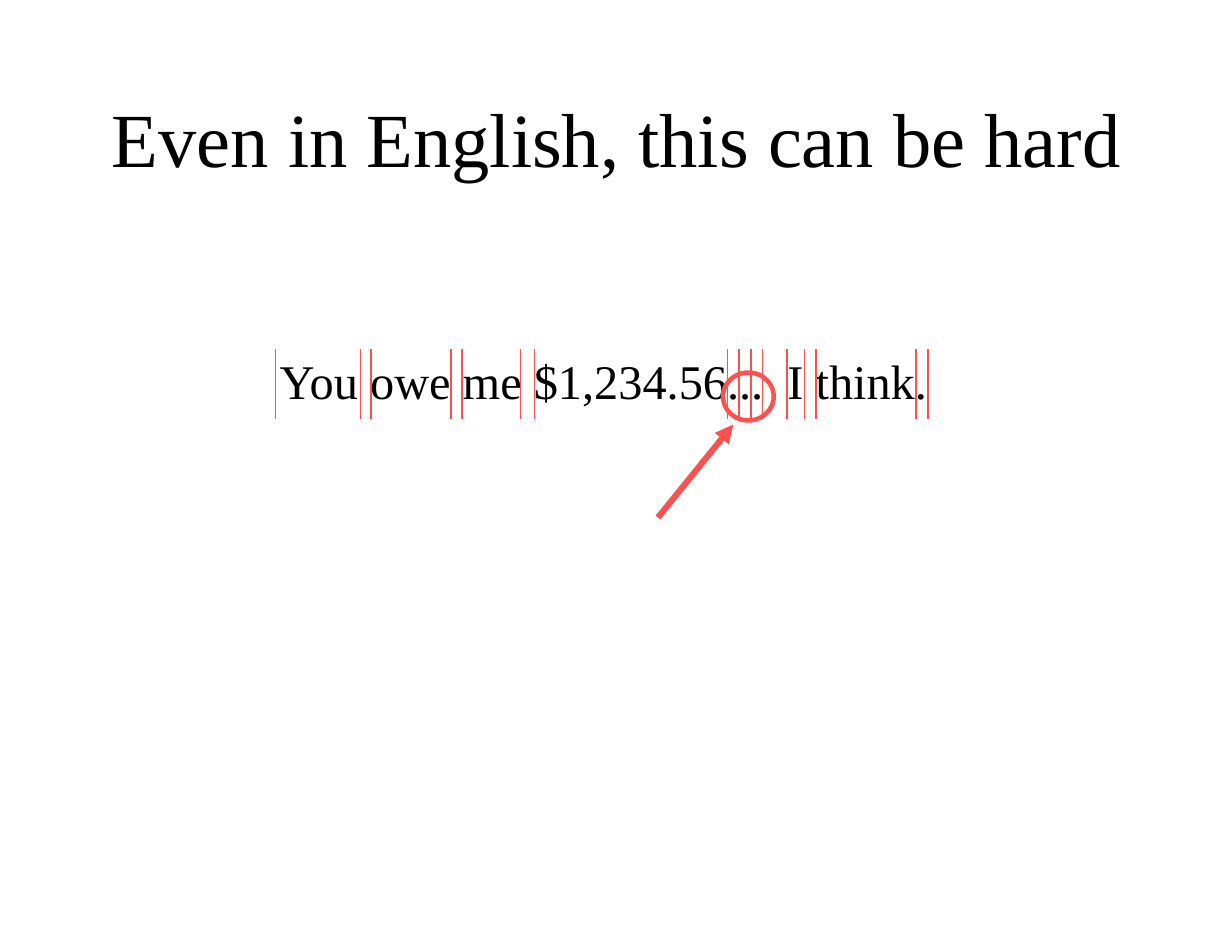
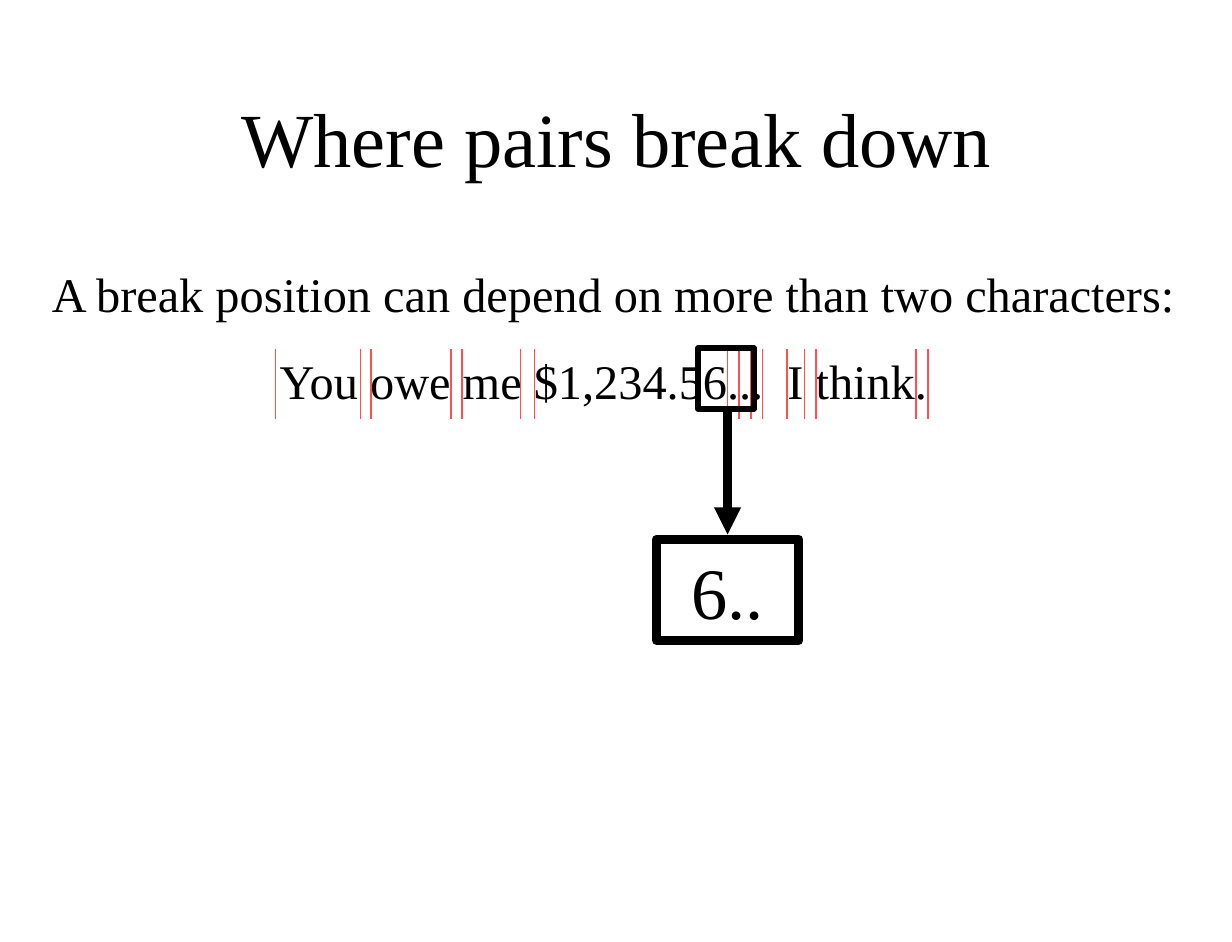
from pptx import Presentation
from pptx.dml.color import RGBColor
from pptx.enum.shapes import MSO_CONNECTOR, MSO_SHAPE
from pptx.enum.text import MSO_ANCHOR, PP_ALIGN
from pptx.oxml.ns import qn
from pptx.util import Cm, Pt
from lxml.etree import SubElement

FONT = "Times New Roman"
BLACK = "000000"
RED = "FF5050"
WHITE = "FFFFFF"

SENTENCE = "You owe me $1,234.56...  I think."
BREAK_TOP, BREAK_BOTTOM = 6.12, 7.34
BREAK_POSITIONS = (
    4.83, 6.32, 6.5, 7.9, 8.1, 9.12, 9.37, 12.75,
    12.95, 13.16, 13.36, 13.79, 14.1, 14.3, 16.05, 16.26,
)


def color(hex_string):
    return RGBColor.from_string(hex_string)


def write_text(shape, text, size=24, align=PP_ALIGN.CENTER, text_color=BLACK):
    frame = shape.text_frame
    frame.word_wrap = True
    frame.vertical_anchor = MSO_ANCHOR.TOP
    frame.margin_left = frame.margin_right = Cm(0.25)
    frame.margin_top = frame.margin_bottom = Cm(0.13)
    paragraph = frame.paragraphs[0]
    paragraph.alignment = align
    run = paragraph.add_run()
    run.text = text
    run.font.name = FONT
    run.font.size = Pt(size)
    run.font.color.rgb = color(text_color)


def add_text(slide, text, left, top, width, height, **text_format):
    box = slide.shapes.add_textbox(Cm(left), Cm(top), Cm(width), Cm(height))
    write_text(box, text, **text_format)


def add_outline(slide, kind, left, top, width, height, line_color, weight):
    """Add an unfilled shape that marks what lies under it."""
    shape = slide.shapes.add_shape(kind, Cm(left), Cm(top), Cm(width), Cm(height))
    shape.shadow.inherit = False
    shape.fill.background()
    shape.line.color.rgb = color(line_color)
    shape.line.width = Pt(weight)
    return shape


def add_line(slide, start, end, line_color, weight, arrow=False):
    points = [Cm(value) for value in (*start, *end)]
    connector = slide.shapes.add_connector(MSO_CONNECTOR.STRAIGHT, *points)
    connector.line.color.rgb = color(line_color)
    connector.line.width = Pt(weight)
    if arrow:
        SubElement(connector.line._get_or_add_ln(), qn("a:tailEnd"), type="triangle")
    SubElement(connector._element.spPr, qn("a:effectLst"))


def add_example_slide(presentation, title):
    """Add a slide with its title and the sentence cut at every break."""
    slide = presentation.slides.add_slide(presentation.slide_layouts[6])
    slide.background.fill.solid()
    slide.background.fill.fore_color.rgb = color(WHITE)
    add_text(slide, title, 1.63, 1.47, 18.36, 2.74, size=38)
    add_text(slide, SENTENCE, 1.85, 6.02, 17.45, 1.27)
    for x in BREAK_POSITIONS:
        add_line(slide, (x, BREAK_TOP), (x, BREAK_BOTTOM), RED, 0.75)
    return slide


def add_ellipsis_slide(presentation):
    slide = add_example_slide(presentation, "Even in English, this can be hard")
    add_outline(slide, MSO_SHAPE.OVAL, 12.67, 6.53, 0.89, 0.84, RED, 2.25)
    add_line(slide, (11.53, 9.07), (12.85, 7.44), RED, 3, arrow=True)


def add_pairs_slide(presentation):
    slide = add_example_slide(presentation, "Where pairs break down")
    add_text(slide, "A break position can depend on more than two characters:",
             0.66, 4.5, 20.32, 1.27, align=PP_ALIGN.LEFT)
    add_outline(slide, MSO_SHAPE.RECTANGLE, 12.24, 6.1, 0.97, 1.07, BLACK, 3)
    detail = add_outline(slide, MSO_SHAPE.RECTANGLE, 11.51, 9.45, 2.49, 1.78, BLACK, 4.5)
    write_text(detail, "6..", size=36)
    add_line(slide, (12.75, 7.16), (12.75, 9.37), BLACK, 4.5, arrow=True)


def main():
    presentation = Presentation()
    presentation.slide_width = Cm(21.59)
    presentation.slide_height = Cm(16.51)
    add_ellipsis_slide(presentation)
    add_pairs_slide(presentation)
    presentation.save("out.pptx")


if __name__ == "__main__":
    main()
